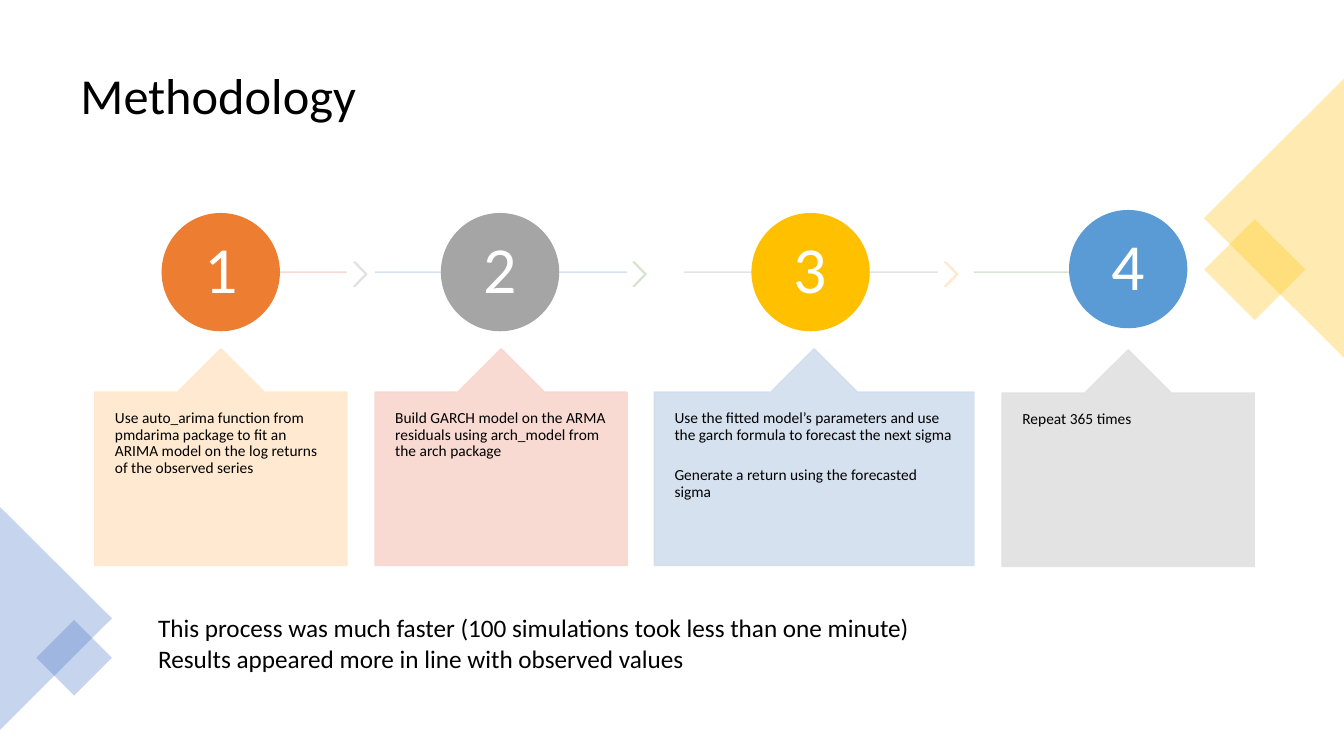
"""Build the Methodology slide: four numbered steps with callouts and a closing remark."""
import pptx
import pptx.dml.color
import pptx.enum.shapes
import pptx.enum.text
import pptx.oxml
import pptx.oxml.ns
import pptx.util

PX = 9144
FONT = "Calibri"
RGB = pptx.dml.color.RGBColor
SHAPE = pptx.enum.shapes.MSO_SHAPE
ALIGN = pptx.enum.text.PP_ALIGN
ANCHOR = pptx.enum.text.MSO_ANCHOR

BLACK = RGB(0x00, 0x00, 0x00)
WHITE = RGB(0xFF, 0xFF, 0xFF)
ORANGE = RGB(0xED, 0x7D, 0x31)
GRAY = RGB(0xA5, 0xA5, 0xA5)
GOLD = RGB(0xFF, 0xC0, 0x00)
SKY = RGB(0x5B, 0x9B, 0xD5)
BLUE = RGB(0x44, 0x72, 0xC4)
PALE_ORANGE = RGB(0xFF, 0xE8, 0xCC)
PALE_RED = RGB(0xF8, 0xD7, 0xCE)
PALE_BLUE = RGB(0xD2, 0xDE, 0xEF)
PALE_GRAY = RGB(0xE1, 0xE1, 0xE1)
PALE_GREEN = RGB(0xD5, 0xE3, 0xCF)

DECORATIONS = [
    (SHAPE.RECTANGLE, (1209, 232, 71, 71), 45, GOLD),
    (SHAPE.ISOSCELES_TRIANGLE, (1125, 147, 277, 139), 270, GOLD),
    (SHAPE.ISOSCELES_TRIANGLE, (-55, 558, 221, 111), 90, BLUE),
    (SHAPE.RECTANGLE, (47, 626, 53, 53), 45, BLUE),
]
TRACKS = [
    (233, 344, PALE_RED),
    (372, 622, PALE_BLUE),
    (678, 930, PALE_GRAY),
    (966, 1091, PALE_GREEN),
]
CHEVRONS = [(351, PALE_GRAY), (628, PALE_GREEN), (937, PALE_ORANGE)]
STEPS = [
    (161, 212, ORANGE, (94, 346, 250, 215), PALE_ORANGE,
     ["Use auto_arima function from pmdarima package to fit an ARIMA model "
      "on the log returns of the observed series"]),
    (438, 212, GRAY, (372, 346, 250, 215), PALE_RED,
     ["Build GARCH model on the ARMA residuals using arch_model from the arch package"]),
    (746, 212, GOLD, (649, 346, 317, 215), PALE_BLUE,
     ["Use the fitted model’s parameters and use the garch formula to forecast the next sigma",
      "Generate a return using the forecasted sigma"]),
    (1061, 209, SKY, (994, 347, 250, 215), PALE_GRAY, ["Repeat 365 times"]),
]
REMARKS = [
    "This process was much faster (100 simulations took less than one minute)",
    "Results appeared more in line with observed values",
]


def to_emu(box):
    """Turn px lengths into EMU."""
    return [length * PX for length in box]


def set_alpha(color_owner, percent):
    """Make every solid colour below the element partly transparent."""
    for color in color_owner.iter(pptx.oxml.ns.qn("a:srgbClr")):
        alpha = pptx.oxml.parse_xml(
            f'<a:alpha {pptx.oxml.ns.nsdecls("a")} val="{percent * 1000}"/>')
        color.append(alpha)


def write(host, paragraphs, size, color, anchor=ANCHOR.TOP, align=ALIGN.LEFT,
          line_spacing=0.9, gap=0, insets=(10, 5)):
    """Fill a shape's text frame with evenly formatted paragraphs."""
    frame = host.text_frame
    frame.text = "\n".join(paragraphs)
    frame.word_wrap = True
    frame.vertical_anchor = anchor
    frame.margin_left = frame.margin_right = insets[0] * PX
    frame.margin_top = frame.margin_bottom = insets[1] * PX
    for paragraph in frame.paragraphs:
        paragraph.alignment = align
        paragraph.line_spacing = line_spacing
        paragraph.space_after = pptx.util.Pt(gap)
        for run in paragraph.runs:
            run.font.name = FONT
            run.font.size = pptx.util.Pt(size)
            run.font.color.rgb = color


def add_solid(slide, kind, box, color, alpha=100, outlined=True):
    """Add a preset shape in one colour."""
    solid = slide.shapes.add_shape(kind, *to_emu(box))
    solid.shadow.inherit = False
    solid.fill.solid()
    solid.fill.fore_color.rgb = color
    if outlined:
        solid.line.color.rgb = color
        solid.line.width = pptx.util.Pt(1)
    else:
        solid.line.fill.background()
    if alpha < 100:
        set_alpha(solid.element.spPr, alpha)
    return solid


def add_decoration(slide, kind, box, rotation, color):
    """Add a translucent corner ornament."""
    ornament = add_solid(slide, kind, box, color, alpha=30, outlined=False)
    ornament.rotation = rotation


def add_track(slide, start, end, color):
    """Add a horizontal line between steps."""
    track = slide.shapes.add_connector(
        pptx.enum.shapes.MSO_CONNECTOR.STRAIGHT, *to_emu((start, 270, end, 270)))
    track.line.color.rgb = color
    track.line.width = pptx.util.Pt(1)
    properties = track.element.spPr
    set_alpha(properties, 90)
    properties.append(pptx.oxml.parse_xml(
        f'<a:effectLst {pptx.oxml.ns.nsdecls("a")}/>'))


def add_chevron(slide, left, color):
    """Add the arrow tip that leads to the next step."""
    chevron = add_solid(slide, SHAPE.CHEVRON, (left, 260, 13, 24), color, alpha=90)
    chevron.adjustments[0] = 0.9


def add_step(slide, number, left, top, color, callout_box, callout_color, paragraphs):
    """Add a numbered circle and the callout that explains it."""
    circle = add_solid(slide, SHAPE.OVAL, (left, top, 116, 116), color)
    write(circle, [str(number)], 47, WHITE, ANCHOR.MIDDLE, ALIGN.CENTER, insets=(5, 5))
    callout = add_solid(slide, SHAPE.UP_ARROW_CALLOUT, callout_box, callout_color, alpha=90)
    for index, share in enumerate((0.5, 0.2, 0.2, 1)):
        callout.adjustments[index] = share
    write(callout, paragraphs, 11, BLACK, gap=17, insets=(20, 18))


def add_words(slide, box, paragraphs, size, **layout):
    """Add a text box in black."""
    write(slide.shapes.add_textbox(*to_emu(box)), paragraphs, size, BLACK, **layout)


def main():
    """Build and save the slide."""
    deck = pptx.Presentation()
    deck.slide_width, deck.slide_height = to_emu((1333, 750))
    slide = deck.slides.add_slide(deck.slide_layouts[6])
    add_words(slide, (70, 35, 1193, 124), ["Methodology"], 36, anchor=ANCHOR.MIDDLE)
    for decoration in DECORATIONS:
        add_decoration(slide, *decoration)
    for track in TRACKS:
        add_track(slide, *track)
    for chevron in CHEVRONS:
        add_chevron(slide, *chevron)
    for number, step in enumerate(STEPS, start=1):
        add_step(slide, number, *step)
    add_words(slide, (147, 603, 903, 71), REMARKS, 18, line_spacing=1.0)
    deck.save("out.pptx")


if __name__ == "__main__":
    main()
